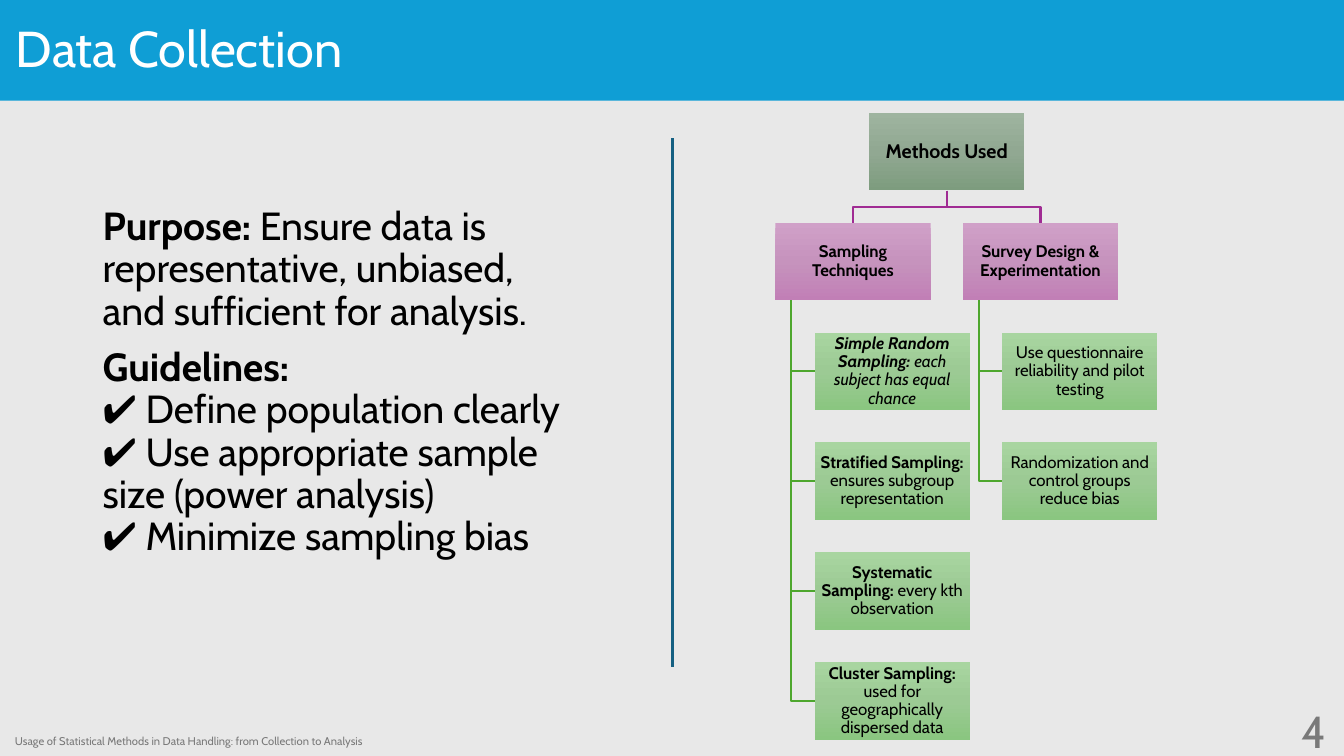
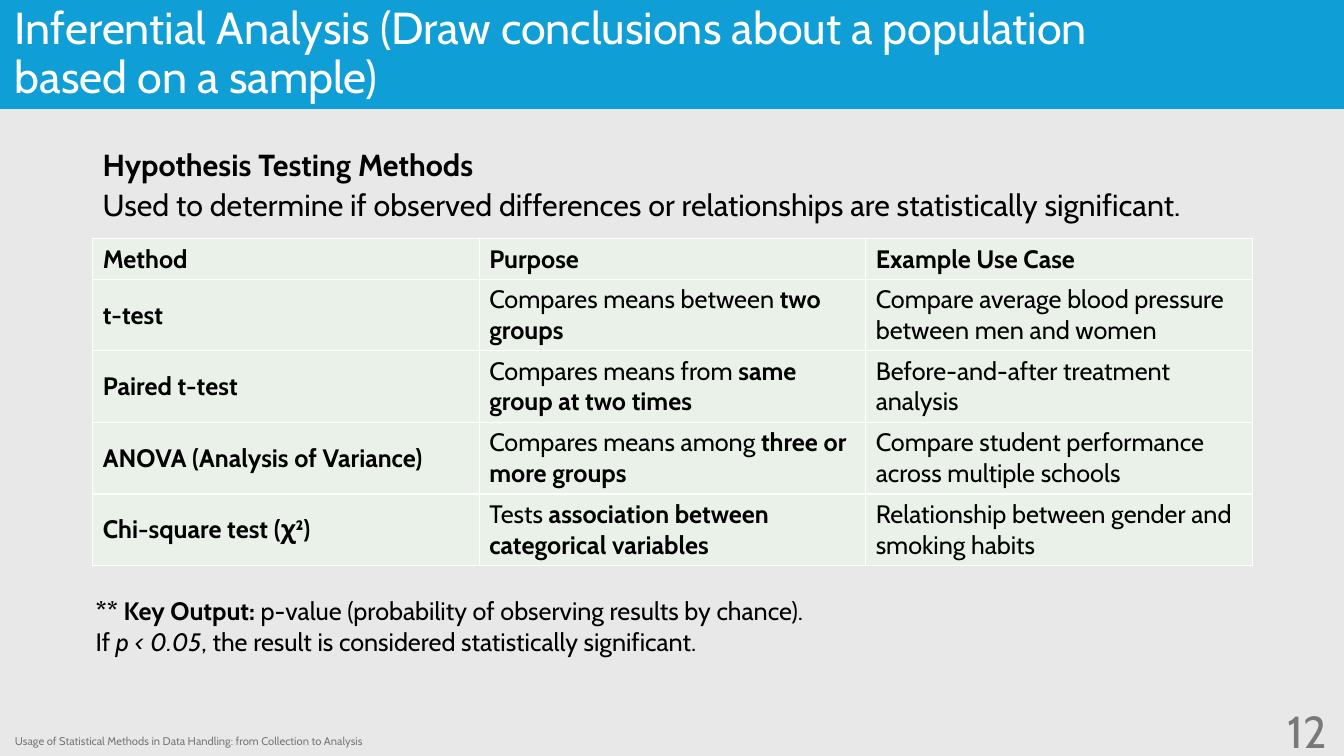
"""Build two slides on data collection and inferential analysis."""
import copy

import pptx
import pptx.util
from pptx.dml.color import RGBColor
from pptx.enum.shapes import MSO_CONNECTOR, MSO_SHAPE
from pptx.enum.text import MSO_ANCHOR, PP_ALIGN
from pptx.oxml import parse_xml
from pptx.oxml.ns import nsdecls, qn
from pptx.util import Inches

FONT = "Cabin"
FOOTER = "Usage of Statistical Methods in Data Handling: from Collection to Analysis"

BLACK = RGBColor(0x00, 0x00, 0x00)
WHITE = RGBColor(0xFF, 0xFF, 0xFF)
GRAY = RGBColor(0x79, 0x79, 0x79)
PAGE_GRAY = RGBColor(0xE8, 0xE8, 0xE8)
BAND_BLUE = RGBColor(0x0F, 0x9E, 0xD5)
DIVIDER_BLUE = RGBColor(0x15, 0x60, 0x82)
PURPLE_LINE = RGBColor(0xA0, 0x2B, 0x93)
GREEN_LINE = RGBColor(0x4E, 0xA7, 0x2E)
CELL_GREEN = RGBColor(0xE9, 0xF1, 0xE8)
ROOT_SHADES = [RGBColor(0x9E, 0xB4, 0x9F), RGBColor(0x91, 0xA8, 0x92), RGBColor(0x7D, 0x9C, 0x7E)]
BRANCH_SHADES = [RGBColor(0xD0, 0xA0, 0xC8), RGBColor(0xC6, 0x93, 0xBD), RGBColor(0xC1, 0x7F, 0xB6)]
LEAF_SHADES = [RGBColor(0xA8, 0xD5, 0xA0), RGBColor(0x9C, 0xCA, 0x94), RGBColor(0x8A, 0xC6, 0x80)]

NODE_WIDTH, NODE_HEIGHT = 1.54, 0.77
TREE_TOP, LEVEL_STEP = 1.12, 1.09
ROOT_LEFT, BRANCH_LEFT, BRANCH_STEP = 8.62, 7.69, 1.86
LEAF_INDENT, TRUNK_INDENT = 0.39, 0.16

BRANCHES = [
    ("Sampling Techniques", [
        [("Simple Random Sampling: ", "bi"), ("each subject has equal chance", "i")],
        [("Stratified Sampling: ", "b"), ("ensures subgroup representation", "")],
        [("Systematic Sampling:", "b"), (" every kth observation", "")],
        [("Cluster Sampling: ", "b"), ("used for geographically dispersed data", "")],
    ]),
    ("Survey Design & Experimentation", [
        [("Use questionnaire reliability and pilot testing", "")],
        [("Randomization and control groups reduce bias", "")],
    ]),
]

GUIDELINES = [
    [("Purpose:", "b"), (" Ensure data is representative, unbiased, and sufficient for analysis.", "")],
    [("Guidelines:\n", "b"),
     ("✔ Define population clearly\n✔ Use appropriate sample size (power analysis)\n"
      "✔ Minimize sampling bias", "")],
]

TESTING_INTRO = [
    [("Hypothesis Testing Methods", "b")],
    [("Used to determine if observed differences or relationships are statistically significant.", "")],
]

TEST_ROWS = [
    [[("Method", "b")], [("Purpose", "b")], [("Example Use Case", "b")]],
    [[("t-test", "b")],
     [("Compares means between ", ""), ("two groups", "b")],
     [("Compare average blood pressure between men and women", "")]],
    [[("Paired t-test", "b")],
     [("Compares means from ", ""), ("same group at two times", "b")],
     [("Before-and-after treatment analysis", "")]],
    [[("ANOVA (Analysis of Variance)", "b")],
     [("Compares means among ", ""), ("three or more groups", "b")],
     [("Compare student performance across multiple schools", "")]],
    [[("Chi-square test (χ²)", "b")],
     [("Tests ", ""), ("association between categorical variables", "b")],
     [("Relationship between gender and smoking habits", "")]],
]

KEY_OUTPUT = [[
    ("** Key Output:", "b"),
    (" p-value (probability of observing results by chance).\nIf ", ""),
    ("p < 0.05", "i"),
    (", the result is considered statistically significant.", ""),
]]


def write_text(frame, paragraphs, *, size, color=BLACK, align=PP_ALIGN.LEFT,
               line_spacing=1.0, space_before=0):
    """Fill a text frame with paragraphs of (text, style) spans."""
    for index, spans in enumerate(paragraphs):
        para = frame.paragraphs[0] if index == 0 else frame.add_paragraph()
        para.alignment = align
        para.line_spacing = line_spacing
        para.space_before = pptx.util.Pt(space_before)
        for text, style in spans:
            for number, line in enumerate(text.split("\n")):
                if number:
                    para.add_line_break()
                if not line:
                    continue
                span = para.add_run()
                span.text = line
                span.font.name = FONT
                span.font.size = pptx.util.Pt(size)
                span.font.color.rgb = color
                span.font.bold = "b" in style
                span.font.italic = "i" in style


def add_text(page, left, top, width, height, paragraphs, *, anchor=MSO_ANCHOR.TOP, **style):
    """Add a wrapping text box."""
    box = page.shapes.add_textbox(Inches(left), Inches(top), Inches(width), Inches(height))
    box.text_frame.word_wrap = True
    box.text_frame.vertical_anchor = anchor
    write_text(box.text_frame, paragraphs, **style)


def add_rectangle(page, left, top, width, height):
    """Add a rectangle without outline or shadow."""
    box = page.shapes.add_shape(
        MSO_SHAPE.RECTANGLE, Inches(left), Inches(top), Inches(width), Inches(height))
    box.shadow.inherit = False
    box.line.fill.background()
    return box


def add_page(deck, title, number, *, band_height, title_at, title_size):
    """Add a page with its background, title band, footer and number."""
    page = deck.slides.add_slide(deck.slide_layouts[6])
    page.background.fill.solid()
    page.background.fill.fore_color.rgb = PAGE_GRAY
    band = add_rectangle(page, 0, 0, 13.33, band_height)
    band.fill.solid()
    band.fill.fore_color.rgb = BAND_BLUE
    add_text(page, *title_at, [[(title, "")]], anchor=MSO_ANCHOR.MIDDLE,
             size=title_size, color=WHITE, line_spacing=0.9)
    add_text(page, 0.05, 7.23, 8, 0.25, [[(FOOTER, "")]], anchor=MSO_ANCHOR.MIDDLE,
             size=8, color=GRAY)
    add_text(page, 10.26, 7.05, 3, 0.4, [[(number, "")]], anchor=MSO_ANCHOR.MIDDLE,
             size=32, color=GRAY, align=PP_ALIGN.RIGHT)
    return page


def add_divider(page, x, top, bottom):
    """Add a vertical dividing line."""
    line = page.shapes.add_connector(
        MSO_CONNECTOR.STRAIGHT, Inches(x), Inches(top), Inches(x), Inches(bottom))
    line.line.color.rgb = DIVIDER_BLUE
    line.line.width = pptx.util.Pt(1.5)
    line._element.spPr.append(parse_xml(f"<a:effectLst {nsdecls('a')}/>"))


def add_branch_line(page, points, color):
    """Add an open angled line through the points."""
    corners = [(Inches(x), Inches(y)) for x, y in points]
    builder = page.shapes.build_freeform(*corners[0])
    builder.add_line_segments(corners[1:], close=False)
    line = builder.convert_to_shape()
    line.shadow.inherit = False
    line.fill.background()
    line.line.color.rgb = color
    line.line.width = pptx.util.Pt(1.5)


def add_node(page, left, top, spans, shades, size=12):
    """Add a tree node with a vertical gradient."""
    node = add_rectangle(page, left, top, NODE_WIDTH, NODE_HEIGHT)
    node.fill.gradient()
    node.fill.gradient_angle = 270
    first_stop = node._element.spPr.find(".//" + qn("a:gs"))
    first_stop.addnext(copy.deepcopy(first_stop))
    for stop, shade, position in zip(node.fill.gradient_stops, shades, (0, 0.5, 1)):
        stop.color.rgb = shade
        stop.position = position
    frame = node.text_frame
    frame.word_wrap = True
    frame.vertical_anchor = MSO_ANCHOR.MIDDLE
    frame.margin_left = frame.margin_right = Inches(0.01)
    frame.margin_top = frame.margin_bottom = Inches(0.01)
    write_text(frame, [spans], size=size, align=PP_ALIGN.CENTER, line_spacing=0.9)


def add_methods_tree(page):
    """Add the tree of methods, its lines behind its nodes."""
    root_center = ROOT_LEFT + NODE_WIDTH / 2
    root_bottom = TREE_TOP + NODE_HEIGHT
    branch_top = TREE_TOP + LEVEL_STEP
    middle = (root_bottom + branch_top) / 2
    add_node(page, ROOT_LEFT, TREE_TOP, [("Methods Used", "b")], ROOT_SHADES, size=14)
    for column, (heading, leaves) in enumerate(BRANCHES):
        left = BRANCH_LEFT + column * BRANCH_STEP
        center = left + NODE_WIDTH / 2
        add_branch_line(page, [(root_center, root_bottom), (root_center, middle),
                               (center, middle), (center, branch_top)], PURPLE_LINE)
        add_node(page, left, branch_top, [(heading, "b")], BRANCH_SHADES)
        trunk, leaf_left = left + TRUNK_INDENT, left + LEAF_INDENT
        for row, spans in enumerate(leaves, start=1):
            leaf_top = branch_top + row * LEVEL_STEP
            leaf_middle = leaf_top + NODE_HEIGHT / 2
            add_branch_line(page, [(trunk, branch_top + NODE_HEIGHT), (trunk, leaf_middle),
                                   (leaf_left, leaf_middle)], GREEN_LINE)
            add_node(page, leaf_left, leaf_top, spans, LEAF_SHADES)


def format_cell(cell, spans):
    """Give a table cell its borders, fill and text."""
    properties = cell._tc.get_or_add_tcPr()
    for side in ("lnL", "lnR", "lnT", "lnB"):
        properties.append(parse_xml(
            f'<a:{side} {nsdecls("a")} w="12700"><a:solidFill>'
            f'<a:srgbClr val="{WHITE}"/></a:solidFill></a:{side}>'))
    cell.fill.solid()
    cell.fill.fore_color.rgb = CELL_GREEN
    cell.vertical_anchor = MSO_ANCHOR.MIDDLE
    write_text(cell.text_frame, [spans], size=18)


def add_test_table(page):
    """Add the table of hypothesis tests."""
    table = page.shapes.add_table(
        len(TEST_ROWS), 3, Inches(0.92), Inches(2.37), Inches(11.5), Inches(3.24)).table
    table.first_row = False
    table.horz_banding = False
    for index, row in enumerate(TEST_ROWS):
        table.rows[index].height = Inches(0.71 if index else 0.4)
        for column, spans in enumerate(row):
            format_cell(table.cell(index, column), spans)


def build_collection_page(deck):
    """Build the data collection page."""
    page = add_page(deck, "Data Collection", "4", band_height=1,
                    title_at=(0.06, 0.09, 5.79, 0.84), title_size=36)
    add_text(page, 0.92, 2, 4.76, 4.42, GUIDELINES, size=28, line_spacing=0.9, space_before=10)
    add_divider(page, 6.67, 1.37, 6.62)
    add_methods_tree(page)


def build_inference_page(deck):
    """Build the inferential analysis page."""
    page = add_page(
        deck, "Inferential Analysis (Draw conclusions about a population based on a sample)", "12",
        band_height=1.08, title_at=(0.05, 0, 11.84, 1.08), title_size=32)
    add_text(page, 0.92, 1.5, 11.5, 0.81, TESTING_INTRO,
             size=21.7, line_spacing=0.7, space_before=10)
    add_test_table(page)
    add_text(page, 0.85, 5.86, 11.57, 0.71, KEY_OUTPUT, size=18)


def main():
    """Build and save the deck."""
    deck = pptx.Presentation()
    deck.slide_width, deck.slide_height = Inches(13.33), Inches(7.5)
    build_collection_page(deck)
    build_inference_page(deck)
    deck.save("out.pptx")


if __name__ == "__main__":
    main()
